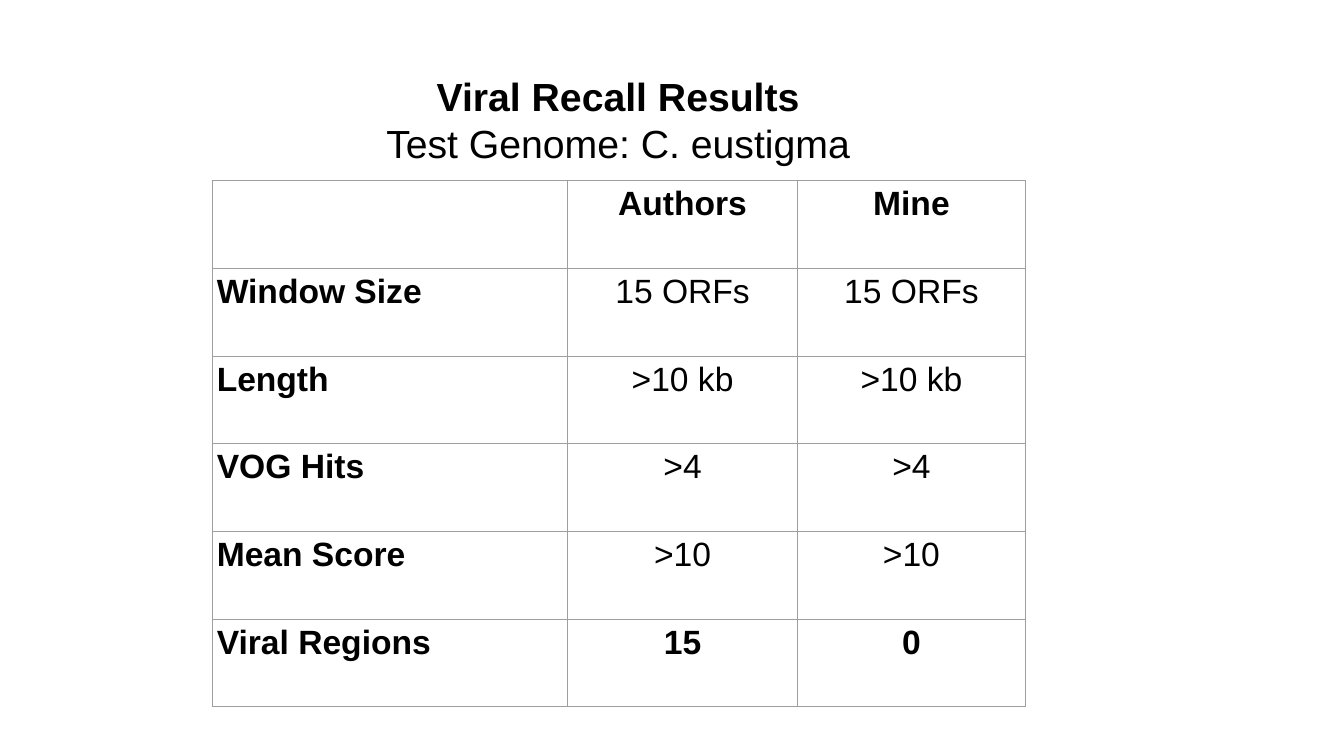
from lxml import etree
from pptx import Presentation
from pptx.dml.color import RGBColor
from pptx.enum import text
from pptx.oxml import ns
from pptx.util import Inches, Pt

BLACK = RGBColor(0x00, 0x00, 0x00)
BORDER_GRAY = RGBColor(0x9E, 0x9E, 0x9E)
BORDER_WIDTH = Pt(0.38)

TITLE_LINES = [("Viral Recall Results", True), ("Test Genome: C. eustigma", False)]
RESULTS = [
    ("", "Authors", "Mine"),
    ("Window Size", "15 ORFs", "15 ORFs"),
    ("Length", ">10 kb", ">10 kb"),
    ("VOG Hits", ">4", ">4"),
    ("Mean Score", ">10", ">10"),
    ("Viral Regions", "15", "0"),
]
COLUMN_WIDTHS = [3.53, 2.28, 2.26]
ROW_HEIGHT = 0.87


def set_attributes(target, values):
    for name, value in values.items():
        setattr(target, name, value)


def format_paragraph(paragraph, size, bold, alignment):
    paragraph.alignment = alignment
    set_attributes(paragraph.font, {"name": "Arial", "size": Pt(size), "bold": bold})
    paragraph.font.color.rgb = BLACK


def add_borders(cell):
    properties = cell._tc.get_or_add_tcPr()
    for side in ("lnL", "lnR", "lnT", "lnB"):
        line = etree.SubElement(properties, ns.qn(f"a:{side}"), w=str(BORDER_WIDTH))
        fill = etree.SubElement(line, ns.qn("a:solidFill"))
        etree.SubElement(fill, ns.qn("a:srgbClr"), val=str(BORDER_GRAY))


def place_title(slide, left, top, width, height):
    title = slide.shapes.title
    set_attributes(title, {"left": Inches(left), "top": Inches(top),
                           "width": Inches(width), "height": Inches(height)})
    frame = title.text_frame
    set_attributes(frame, {"word_wrap": True, "auto_size": text.MSO_AUTO_SIZE.NONE,
                           "vertical_anchor": text.MSO_ANCHOR.TOP})
    frame.text = "\n".join(line for line, _ in TITLE_LINES)
    for paragraph, (_, bold) in zip(frame.paragraphs, TITLE_LINES):
        format_paragraph(paragraph, 28, bold, text.PP_ALIGN.CENTER)


def add_results_table(slide, left, top):
    table = slide.shapes.add_table(
        len(RESULTS), len(COLUMN_WIDTHS), Inches(left), Inches(top),
        Inches(sum(COLUMN_WIDTHS)), Inches(ROW_HEIGHT * len(RESULTS))).table
    set_attributes(table, {"first_row": False, "horz_banding": False})
    for column, width in zip(table.columns, COLUMN_WIDTHS):
        column.width = Inches(width)
    margins = {f"margin_{side}": Inches(0.05) for side in ("left", "right", "top", "bottom")}
    last_row = len(RESULTS) - 1
    for row_index, values in enumerate(RESULTS):
        table.rows[row_index].height = Inches(ROW_HEIGHT)
        for column_index, value in enumerate(values):
            cell = table.cell(row_index, column_index)
            is_label = column_index == 0
            bold = is_label or row_index in (0, last_row)
            cell.text = value
            set_attributes(cell, margins)
            add_borders(cell)
            cell.fill.background()
            alignment = text.PP_ALIGN.LEFT if is_label else text.PP_ALIGN.CENTER
            format_paragraph(cell.text_frame.paragraphs[0], 24, bold, alignment)


def main():
    presentation = Presentation()
    set_attributes(presentation, {"slide_width": Inches(13.33), "slide_height": Inches(7.5)})
    slide = presentation.slides.add_slide(presentation.slide_layouts[5])
    place_title(slide, 3.02, 0.67, 6.22, 1.51)
    add_results_table(slide, 2.1, 1.79)
    presentation.save("out.pptx")


if __name__ == "__main__":
    main()
